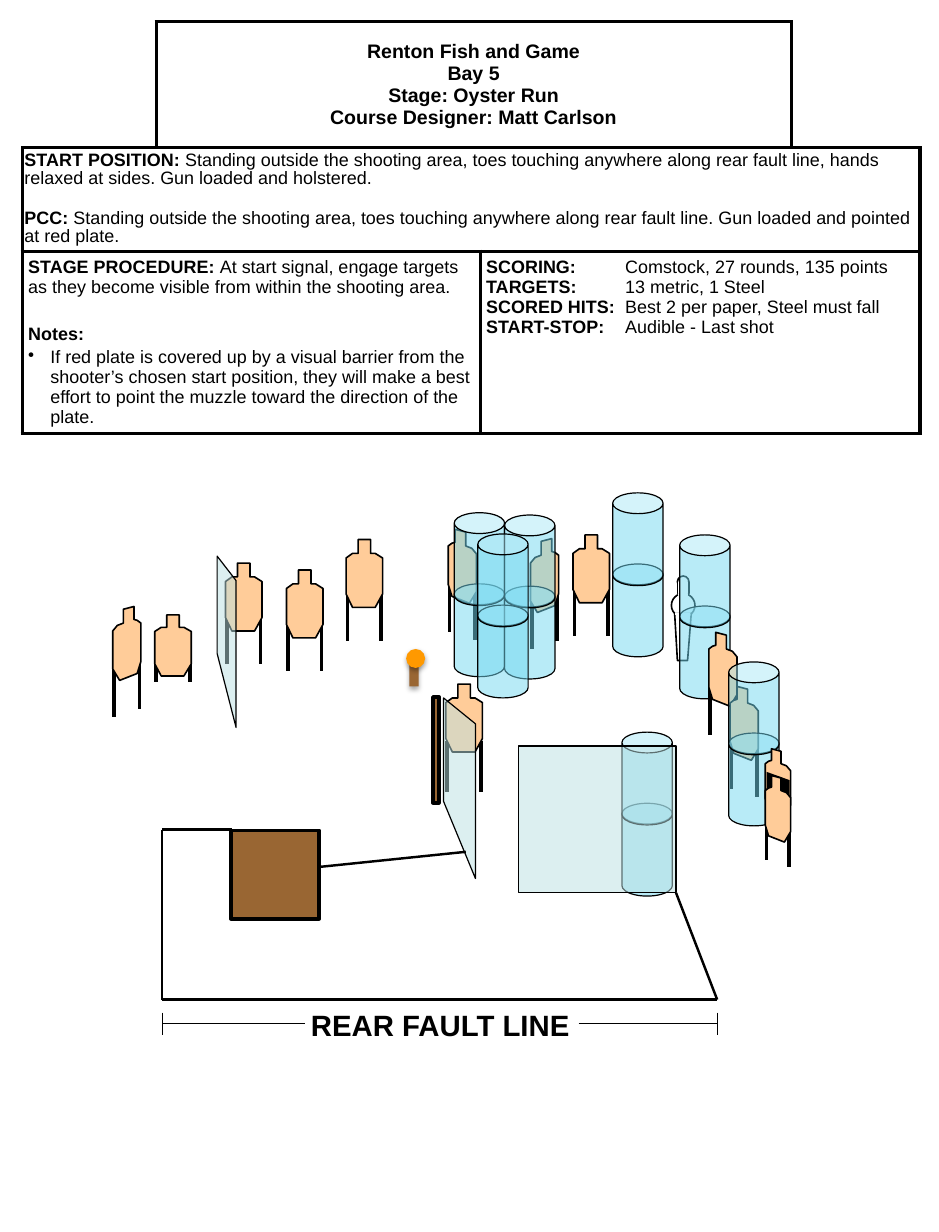
from dataclasses import dataclass

from pptx import Presentation
from pptx import util as u
from pptx.dml.color import RGBColor
from pptx.enum import shapes as kinds, text as txt
from pptx.oxml import ns, xmlchemy

Cm, Pt = u.Cm, u.Pt
PRESET = kinds.MSO_SHAPE


@dataclass(frozen=True)
class Theme:
    font: str = "Arial"
    ink: str = "000000"
    paper: str = "FFFFFF"
    card: str = "FFCC99"
    wood: str = "996633"
    barrel: str = "73D9F1"
    screen: str = "BBE0E3"
    plate: str = "FF9900"
    title: int = 12
    body: int = 11
    label: int = 18
    hair: float = 0.75
    thin: float = 1
    fault: float = 1.5
    thick: float = 2.25


@dataclass(frozen=True)
class Posture:
    """Target outline and leg tops in cm, measured from its top left."""
    width: float
    outline: tuple
    legs: tuple


THEME = Theme()
LEG = 1.1
FACING = Posture(0.79, ((.26, 0), (.53, 0), (.53, .3), (.63, .3), (.79, .4), (.79, 1.18),
                        (.63, 1.47), (.14, 1.47), (0, 1.18), (0, .4), (.14, .3), (.26, .3)),
                 ((.03, 1.09), (.76, 1.09)))
ANGLED = Posture(0.61, ((.23, .06), (.46, 0), (.46, .28), (.53, .3), (.61, .36), (.61, 1.19),
                        (.53, 1.45), (.15, 1.6), (0, 1.35), (0, .53), (.1, .41), (.23, .36)),
                 ((.03, 1.3), (.58, 1.12)))


def element(parent, tag, **attributes):
    child = xmlchemy.OxmlElement(tag)
    for name, value in attributes.items():
        child.set(name, str(value))
    parent.append(child)
    return child


# Drawing elements
def paint(shape, color, width=None, line=THEME.ink, alpha=None):
    shape.shadow.inherit = False
    shape.fill.solid()
    shape.fill.fore_color.rgb = RGBColor.from_string(color)
    if alpha:
        tint = shape.fill._xPr.find(".//" + ns.qn("a:srgbClr"))
        element(tint, "a:alpha", val=alpha * 1000)
    if width is None:
        shape.line.fill.background()
    else:
        shape.line.color.rgb = RGBColor.from_string(line)
        shape.line.width = Pt(width)
    return shape


def preset(parts, kind, left, top, width, height, *look, **options):
    shape = parts.add_shape(kind, Cm(left), Cm(top), Cm(width), Cm(height))
    return paint(shape, *look, **options)


def polygon(parts, points, *look, **options):
    start, *rest = [(Cm(x), Cm(y)) for x, y in points]
    builder = parts.build_freeform(*start)
    builder.add_line_segments(rest, close=True)
    return paint(builder.convert_to_shape(), *look, **options)


def line(parts, x1, y1, x2, y2, width):
    rule = parts.add_connector(kinds.MSO_CONNECTOR.STRAIGHT, Cm(x1), Cm(y1), Cm(x2), Cm(y2))
    rule.line.color.rgb = RGBColor.from_string(THEME.ink)
    rule.line.width = Pt(width)
    element(rule._element.spPr, "a:effectLst")


def legs(parts, posture, left, top, mirrored=False, scale=1, shift=0):
    for x, y in posture.legs:
        x = left + scale * (posture.width - x if mirrored else x)
        y = top + scale * y + shift
        line(parts, x, y, x, y + LEG * scale, THEME.thick)


def card(parts, posture, left, top, mirrored=False, scale=1, stretch=1):
    polygon(parts, [(left + scale * (posture.width - x if mirrored else x),
                     top + scale * stretch * y) for x, y in posture.outline],
            THEME.card, THEME.thin)


def target(slide, posture, left, top, mirrored=False, stretch=1, shift=0):
    parts = slide.shapes.add_group_shape().shapes
    legs(parts, posture, left, top, mirrored, shift=shift)
    card(parts, posture, left, top, mirrored, stretch=stretch)


def double_target(slide, left, top, drop=0.58, scale=0.9):
    parts = slide.shapes.add_group_shape().shapes
    card(parts, ANGLED, left, top, True, scale)
    polygon(parts, [(17.09, 16.89), (17.09, 17.42), (16.99, 17.63), (16.66, 17.53),
                    (16.59, 17.3), (16.59, 16.71)], THEME.ink)
    legs(parts, ANGLED, left, top + drop, True, scale, shift=-0.18)
    card(parts, ANGLED, left, top + drop, True, scale)


def barrels(slide, left, top):
    parts = slide.shapes.add_group_shape().shapes
    for y in (top + 1.54, top):
        can = preset(parts, PRESET.CAN, left, y, 1.09, 2.01, THEME.barrel, THEME.hair, alpha=50)
        can.adjustments[0] = 0.413


def screen(slide, points):
    polygon(slide.shapes, points, THEME.screen, THEME.hair, alpha=50)


def popper(slide):
    parts = slide.shapes.add_group_shape().shapes
    white = THEME.paper
    preset(parts, PRESET.OVAL, 14.66, 12.47, .25, .25, white, THEME.thin)
    preset(parts, PRESET.OVAL, 14.53, 12.85, .51, .51, white, THEME.thin)
    polygon(parts, [(14.6, 13.28), (14.96, 13.28), (14.88, 14.3), (14.66, 14.3)],
            white, THEME.thin)
    preset(parts, PRESET.RECTANGLE, 14.66, 12.6, .25, .25, white, THEME.thin)
    preset(parts, PRESET.RECTANGLE, 14.61, 13.26, .33, .05, white)
    for y in (12.85, 12.6):
        preset(parts, PRESET.RECTANGLE, 14.69, y, .19, .04, white, THEME.thin, line=white)


def red_plate(slide):
    parts = slide.shapes.add_group_shape().shapes
    stand = preset(parts, PRESET.RECTANGLE, 8.86, 14.3, .2, .56, THEME.wood)
    plate = preset(parts, PRESET.OVAL, 8.79, 14.05, .41, .41, THEME.plate)
    for shape in (stand, plate):
        effects = shape._element.spPr.find(ns.qn("a:effectLst"))
        shade = element(effects, "a:outerShdw", blurRad=Pt(3.1), dist=Pt(1.8),
                        dir=5400000, rotWithShape=0)
        element(element(shade, "a:srgbClr", val=THEME.ink), "a:alpha", val=35000)


# Text and table
def style(font, size, bold=None):
    font.name, font.size, font.bold = THEME.font, Pt(size), bold
    font.color.rgb = RGBColor.from_string(THEME.ink)


def write(cell, entries, spacing=None, bullet_last=False, tab=None):
    """Each entry is a bold lead, plain words and the space before in points."""
    frame = cell.text_frame
    for i, (lead, words, gap) in enumerate(entries):
        para = frame.paragraphs[0] if i == 0 else frame.add_paragraph()
        props = para._p.get_or_add_pPr()
        if bullet_last and i == len(entries) - 1:
            props.set("marL", str(Cm(0.48)))
            props.set("indent", str(-Cm(0.48)))
            element(props, "a:buChar", char="•")
        if tab:
            element(element(props, "a:tabLst"), "a:tab", pos=Cm(tab), algn="l")
        if gap:
            para.space_before = Pt(gap)
        para.line_spacing = spacing
        style(para.font, THEME.body)
        for part, bold in ((lead, True), (words, False)):
            if part:
                run = para.add_run()
                run.text, run.font.bold = part, bold


def frame_cell(cell, sides, across=0.13, down=0.13):
    cell.margin_left = cell.margin_right = Cm(across)
    cell.margin_top = cell.margin_bottom = Cm(down)
    props = cell._tc.get_or_add_tcPr()
    for side in sides:
        border = element(props, "a:ln" + side, w=Pt(THEME.thick))
        element(element(border, "a:solidFill"), "a:srgbClr", val=THEME.ink)
    cell.fill.solid()
    cell.fill.fore_color.rgb = RGBColor.from_string(THEME.paper)


def briefing(slide):
    widths, heights = (2.9, 7.01, 6.73, 2.79), (2.74, 2.24, 3.94)
    table = slide.shapes.add_table(3, 4, Cm(0.48), Cm(0.46), Cm(sum(widths)),
                                   Cm(sum(heights))).table
    table.first_row = table.horz_banding = False
    for column, width in zip(table.columns, widths):
        column.width = Cm(width)
    for row, height in zip(table.rows, heights):
        row.height = Cm(height)
    for r in range(3):
        for c in range(4):
            sides = {(0, 0): "RB", (0, 3): "LB"}.get((r, c), "LRTB")
            frame_cell(table.cell(r, c), sides, *((0.05, 0.1) if r == 1 else ()))
    for r, first, last in ((0, 1, 2), (1, 0, 3), (2, 0, 1), (2, 2, 3)):
        table.cell(r, first).merge(table.cell(r, last))

    heading = table.cell(0, 1)
    heading.vertical_anchor = txt.MSO_ANCHOR.MIDDLE
    title = heading.text_frame.paragraphs[0]
    title.text = "Renton Fish and Game\vBay 5\vStage: Oyster Run\vCourse Designer: Matt Carlson"
    title.alignment = txt.PP_ALIGN.CENTER
    style(title.font, THEME.title, True)

    write(table.cell(1, 0), [
        ("START POSITION:", " Standing outside the shooting area, toes touching anywhere along "
         "rear fault line, hands relaxed at sides. Gun loaded and holstered.", 0),
        ("PCC: ", "Standing outside the shooting area, toes touching anywhere along rear fault "
         "line. Gun loaded and pointed at red plate.", 13.5)], spacing=0.9)
    write(table.cell(2, 0), [
        ("STAGE PROCEDURE: ", "At start signal, engage targets as they become visible from "
         "within the shooting area.", 0),
        ("Notes:", "", 16.5),
        ("", "If red plate is covered up by a visual barrier from the shooter’s chosen start "
         "position, they will make a best effort to point the muzzle toward the direction of "
         "the plate.", 2.2)], bullet_last=True)
    write(table.cell(2, 2), [
        ("SCORING:", "\tComstock, 27 rounds, 135 points", 0),
        ("TARGETS:", "\t13 metric, 1 Steel", 0),
        ("SCORED HITS:", "\tBest 2 per paper, Steel must fall", 0),
        ("START-STOP:", "\tAudible - Last shot", 0)], tab=3.01)


def rear_label(slide):
    box = slide.shapes.add_textbox(Cm(6.48), Cm(21.67), Cm(6.17), Cm(1.02))
    box.text_frame.word_wrap = False
    box.text_frame.auto_size = txt.MSO_AUTO_SIZE.SHAPE_TO_FIT_TEXT
    label = box.text_frame.paragraphs[0]
    label.text = "REAR FAULT LINE"
    style(label.font, THEME.label, True)


def main():
    deck = Presentation()
    deck.slide_width, deck.slide_height = Cm(20.32), Cm(26.67)
    slide = deck.slides.add_slide(deck.slide_layouts[6])
    left, right, front, rear = 3.51, 15.52, 17.96, 21.64

    # Right and centre of the bay
    barrels(slide, 13.46, 15.85)
    target(slide, ANGLED, 11.48, 11.66)
    target(slide, ANGLED, 9.7, 11.46, mirrored=True)
    target(slide, FACING, 9.65, 14.81, shift=0.15)

    # Shooting area and wall
    for ends in ((left, front, left, rear), (left, rear, right, rear),
                 (left, front, 5.03, front)):
        line(slide.shapes, *ends, THEME.fault)
    preset(slide.shapes, PRESET.RECTANGLE, 5, 17.98, 1.91, 1.91, THEME.wood, THEME.thick)
    screen(slide, [(9.6, 17.35), (10.29, 19.02), (10.29, 15.67), (9.6, 15.11)])
    popper(slide)
    barrels(slide, 14.71, 11.58)

    # Left targets and screens
    target(slide, FACING, 3.35, 13.31, stretch=0.9, shift=-0.73)
    target(slide, FACING, 4.88, 12.19)
    target(slide, ANGLED, 2.44, 13.13)
    line(slide.shapes, right, rear, 14.63, 19.33, THEME.fault)
    screen(slide, [(14.63, 19.33), (11.23, 19.33), (11.23, 16.15), (14.63, 16.15)])
    line(slide.shapes, 6.88, 18.77, 10.08, 18.44, THEME.fault)
    screen(slide, [(4.7, 14.15), (5.11, 15.75), (5.11, 12.57), (4.7, 12.04)])
    target(slide, FACING, 6.2, 12.34)
    target(slide, FACING, 7.49, 11.68)

    # Far right targets
    target(slide, ANGLED, 15.34, 13.69, mirrored=True)
    target(slide, ANGLED, 15.8, 14.86, mirrored=True)
    barrels(slide, 15.77, 14.33)
    target(slide, FACING, 12.4, 11.58)
    barrels(slide, 9.83, 11.1)
    double_target(slide, 16.56, 16.21)

    # Briefing and rear fault line
    briefing(slide)
    rear_label(slide)
    for x1, x2 in ((left, 6.6), (12.52, right)):
        line(slide.shapes, x1, 22.15, x2, 22.15, THEME.hair)
    for x in (left, right):
        line(slide.shapes, x, 21.92, x, 22.4, THEME.hair)

    # Steel plate, front barrels and pole
    red_plate(slide)
    for x, y in ((10.92, 11.15), (10.34, 11.56), (13.26, 10.67)):
        barrels(slide, x, y)
    preset(slide.shapes, PRESET.RECTANGLE, 9.37, 15.09, .13, 2.29, THEME.wood, THEME.thick)

    deck.save("out.pptx")


if __name__ == "__main__":
    main()
